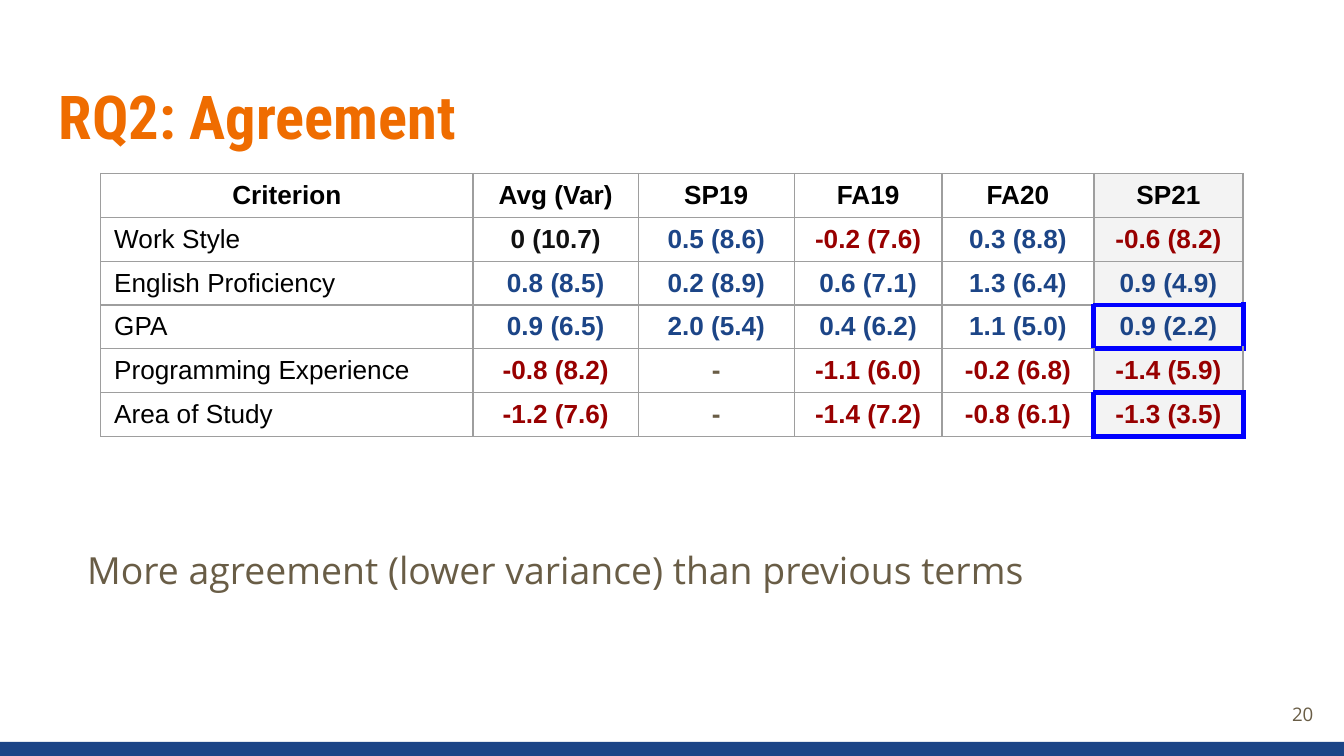
from dataclasses import dataclass

from lxml import etree
from pptx import Presentation
from pptx.dml.color import RGBColor
from pptx.enum.shapes import MSO_SHAPE
from pptx.enum.text import MSO_ANCHOR, PP_ALIGN
from pptx.oxml.ns import qn
from pptx.util import Inches, Pt

RECT = MSO_SHAPE.RECTANGLE
TOP, MIDDLE = MSO_ANCHOR.TOP, MSO_ANCHOR.MIDDLE
LEFT, CENTER, RIGHT = PP_ALIGN.LEFT, PP_ALIGN.CENTER, PP_ALIGN.RIGHT

NAVY = RGBColor(0x1C, 0x45, 0x87)
ORANGE = RGBColor(0xEF, 0x6C, 0x00)
OLIVE = RGBColor(0x69, 0x5D, 0x46)
RED = RGBColor(0x98, 0x00, 0x00)
BLACK = RGBColor(0x00, 0x00, 0x00)
INK = RGBColor(0x11, 0x11, 0x11)
PALE = RGBColor(0xF3, 0xF3, 0xF3)
GRID = RGBColor(0x9E, 0x9E, 0x9E)
BLUE = RGBColor(0x00, 0x00, 0xFF)


@dataclass
class Label:
    text: str
    left: float
    top: float
    width: float
    height: float
    font: str
    size: float
    color: RGBColor
    bold: bool = False
    align: PP_ALIGN = LEFT
    anchor: MSO_ANCHOR = TOP
    line_spacing: float = 1.0
    space_after: float = 0


LABELS = [
    Label("RQ2: Agreement", 0.34, 0.49, 9.32, 0.77, "Roboto Condensed", 32.4,
          ORANGE, bold=True),
    Label("More agreement (lower variance) than previous terms",
          0.55, 3.92, 9.32, 0.54, "Open Sans", 20, OLIVE,
          line_spacing=1.15, space_after=16),
    Label("20", 9.27, 5.1, 0.6, 0.43, "Open Sans", 10, OLIVE,
          align=RIGHT, anchor=MIDDLE),
]

COL_WIDTHS = [2.77, 1.23, 1.16, 1.1, 1.13, 1.11]
TABLE_HEIGHT = 1.96
ROWS = [
    ["Criterion", "Avg (Var)", "SP19", "FA19", "FA20", "SP21"],
    ["Work Style", "0 (10.7)", "0.5 (8.6)", "-0.2 (7.6)", "0.3 (8.8)", "-0.6 (8.2)"],
    ["English Proficiency", "0.8 (8.5)", "0.2 (8.9)", "0.6 (7.1)", "1.3 (6.4)", "0.9 (4.9)"],
    ["GPA", "0.9 (6.5)", "2.0 (5.4)", "0.4 (6.2)", "1.1 (5.0)", "0.9 (2.2)"],
    ["Programming Experience", "-0.8 (8.2)", "-", "-1.1 (6.0)", "-0.2 (6.8)", "-1.4 (5.9)"],
    ["Area of Study", "-1.2 (7.6)", "-", "-1.4 (7.2)", "-0.8 (6.1)", "-1.3 (3.5)"],
]
LAST_COL = len(COL_WIDTHS) - 1
HIGHLIGHTS = {(3, LAST_COL), (5, LAST_COL)}
# Border tag and the step to the neighbour on that side
SIDES = {"a:lnL": (0, -1), "a:lnR": (0, 1), "a:lnT": (-1, 0), "a:lnB": (1, 0)}


def add_run(p, text: str, font: str, size: float, color: RGBColor, bold: bool) -> None:
    r = p.add_run()
    r.text = text
    r.font.name = font
    r.font.size = Pt(size)
    r.font.bold = bold
    r.font.color.rgb = color


def add_label(s, label: Label) -> None:
    sp = s.shapes.add_textbox(Inches(label.left), Inches(label.top),
                              Inches(label.width), Inches(label.height))
    tf = sp.text_frame
    tf.word_wrap = True
    tf.vertical_anchor = label.anchor
    tf.margin_left = tf.margin_right = Inches(0.1)
    tf.margin_top = tf.margin_bottom = Inches(0.1)
    p = tf.paragraphs[0]
    p.alignment = label.align
    p.line_spacing = label.line_spacing
    p.space_after = Pt(label.space_after)
    add_run(p, label.text, label.font, label.size, label.color, label.bold)


def value_color(text: str, row: int, col: int) -> RGBColor:
    """Colour a score by its sign; headings stay black."""
    if row == 0 or col == 0:
        return BLACK
    if text == "-":
        return OLIVE
    score = float(text.split()[0])
    if score == 0:
        return INK
    return NAVY if score > 0 else RED


def add_borders(cell, row: int, col: int) -> None:
    """Grey grid, with thick blue edges around highlighted cells."""
    tc_pr = cell._tc.get_or_add_tcPr()
    for tag, (dr, dc) in SIDES.items():
        marked = bool({(row, col), (row + dr, col + dc)} & HIGHLIGHTS)
        color, width = (BLUE, 3) if marked else (GRID, 0.75)
        ln = etree.SubElement(tc_pr, qn(tag), w=str(Pt(width)))
        fill = etree.SubElement(ln, qn("a:solidFill"))
        etree.SubElement(fill, qn("a:srgbClr"), val=str(color))


def add_score_table(s, left: float, top: float) -> None:
    # Rows share the table height equally
    table = s.shapes.add_table(
        len(ROWS), len(COL_WIDTHS), Inches(left), Inches(top),
        Inches(sum(COL_WIDTHS)), Inches(TABLE_HEIGHT)).table
    table.first_row = table.horz_banding = False
    for column, width in zip(table.columns, COL_WIDTHS):
        column.width = Inches(width)
    for i, values in enumerate(ROWS):
        for j, text in enumerate(values):
            cell = table.cell(i, j)
            cell.vertical_anchor = MIDDLE
            cell.margin_left = cell.margin_right = Inches(0.1)
            cell.margin_top = cell.margin_bottom = 0
            is_name = i > 0 and j == 0
            p = cell.text_frame.paragraphs[0]
            p.alignment = LEFT if is_name else CENTER
            add_run(p, text, "Arial", 14, value_color(text, i, j), not is_name)
            # Borders come before the fill in the cell properties
            add_borders(cell, i, j)
            if j == LAST_COL:
                cell.fill.solid()
                cell.fill.fore_color.rgb = PALE
            else:
                cell.fill.background()


def main() -> None:
    prs = Presentation()
    # Widescreen, 16:9
    prs.slide_width = Inches(10)
    prs.slide_height = Inches(10 * 9 / 16)
    s = prs.slides.add_slide(prs.slide_layouts[6])

    # Footer bar
    bar = s.shapes.add_shape(RECT, 0, Inches(5.52), prs.slide_width, Inches(0.11))
    bar.shadow.inherit = False
    bar.fill.solid()
    bar.fill.fore_color.rgb = NAVY
    bar.line.fill.background()

    # Title, takeaway and slide number
    for label in LABELS:
        add_label(s, label)

    # Scores per term
    add_score_table(s, 0.75, 1.29)

    prs.save("out.pptx")


if __name__ == "__main__":
    main()
